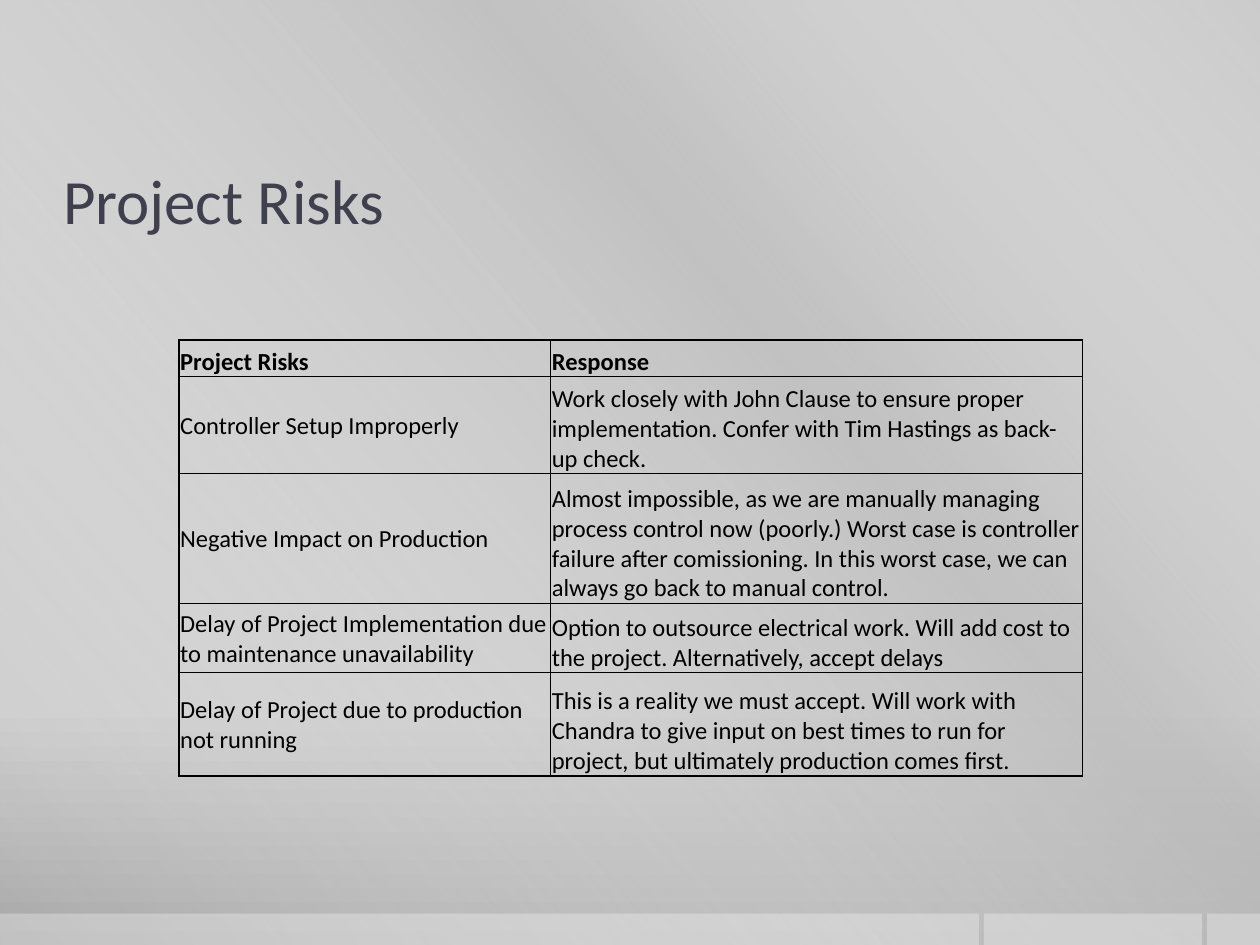
from lxml import etree
from pptx import Presentation
from pptx.dml.color import RGBColor
from pptx.enum.shapes import MSO_SHAPE
from pptx.enum.text import MSO_ANCHOR, PP_ALIGN
from pptx.oxml.ns import qn
from pptx.util import Inches, Pt

RECTANGLE = MSO_SHAPE.RECTANGLE
MIDDLE, BOTTOM = MSO_ANCHOR.MIDDLE, MSO_ANCHOR.BOTTOM
LEFT = PP_ALIGN.LEFT

FONT = "Calibri"
BLACK = RGBColor(0x00, 0x00, 0x00)
WHITE = RGBColor(0xFF, 0xFF, 0xFF)
SLATE = RGBColor(0x3F, 0x3F, 0x4D)
SILVER = RGBColor(0xBF, 0xBF, 0xBF)
PALE_GREY = RGBColor(0xCB, 0xCB, 0xCB)
LIGHT_GREY = RGBColor(0xC8, 0xC8, 0xC8)
MID_GREY = RGBColor(0xA7, 0xA7, 0xA7)

BACKGROUND_STOPS = [(0, PALE_GREY, 100), (76, LIGHT_GREY, 100), (100, MID_GREY, 100)]
SHEEN_STOPS = [(0, WHITE, 0), (34, SILVER, 61), (38, SILVER, 76), (100, WHITE, 0)]
FOOTER_SPANS = [(0, 7.77), (7.81, 1.73), (9.58, 0.42)]
COLUMN_WIDTHS = [2.95, 4.22]
ROW_HEIGHTS = [0.29, 0.77, 1.03, 0.55, 0.82]
RISKS = [
    ("Project Risks", "Response"),
    ("Controller Setup Improperly",
     "Work closely with John Clause to ensure proper implementation. "
     "Confer with Tim Hastings as back-up check."),
    ("Negative Impact on Production",
     "Almost impossible, as we are manually managing process control now (poorly.) "
     "Worst case is controller failure after comissioning. "
     "In this worst case, we can always go back to manual control."),
    ("Delay of Project Implementation due to maintenance unavailability",
     "Option to outsource electrical work. Will add cost to the project. "
     "Alternatively, accept delays"),
    ("Delay of Project due to production not running",
     "This is a reality we must accept. Will work with Chandra to give input on best "
     "times to run for project, but ultimately production comes first."),
]


def add_color(parent, color, opacity=100):
    """Append an RGB colour with an opacity in percent."""
    element = etree.SubElement(parent, qn("a:srgbClr"), val=str(color))
    if opacity < 100:
        etree.SubElement(element, qn("a:alpha"), val=str(opacity * 1000))


def set_gradient(fill, owner, stops, angle):
    """Give a fill a linear gradient with the listed stops."""
    fill.gradient()
    gradient = owner.find(".//" + qn("a:gradFill"))
    for child in list(gradient):
        gradient.remove(child)
    stop_list = etree.SubElement(gradient, qn("a:gsLst"))
    for position, color, opacity in stops:
        stop = etree.SubElement(stop_list, qn("a:gs"), pos=str(position * 1000))
        add_color(stop, color, opacity)
    etree.SubElement(gradient, qn("a:lin"), ang=str(angle * 60000), scaled="0")


def add_panel(slide, left, top, width, height):
    """Add a rectangle without line or shadow."""
    shape = slide.shapes.add_shape(RECTANGLE, left, top, width, height)
    shape.shadow.inherit = False
    shape.line.fill.background()
    return shape


def add_backdrop(slide, width, height):
    """Draw the grey background, the diagonal sheen and the footer strip."""
    set_gradient(slide.background.fill, slide.element, BACKGROUND_STOPS, 90)
    sheen = add_panel(slide, 0, 0, width, height)
    set_gradient(sheen.fill, sheen.element, SHEEN_STOPS, 140)
    strip_height = Inches(0.25)
    for left, span in FOOTER_SPANS:
        strip = add_panel(slide, Inches(left), height - strip_height, Inches(span), strip_height)
        strip.fill.solid()
        strip.fill.fore_color.rgb = WHITE
        color = strip.element.spPr.find(".//" + qn("a:srgbClr"))
        etree.SubElement(color, qn("a:alpha"), val="30000")


def format_runs(paragraph, size, color, bold=False):
    """Set the alignment and the font of every run in a paragraph."""
    paragraph.alignment = LEFT
    for run in paragraph.runs:
        run.font.name = FONT
        run.font.size = Pt(size)
        run.font.bold = bold
        run.font.color.rgb = color


def place_title(slide, left, top, width, height):
    """Place the title in its box, in front of the backdrop."""
    title = slide.shapes.title
    title.left, title.top, title.width, title.height = left, top, width, height
    text_frame = title.text_frame
    text_frame.text = "Project Risks"
    text_frame.word_wrap = True
    text_frame.vertical_anchor = MIDDLE
    text_frame.margin_left = text_frame.margin_right = 0
    text_frame.margin_top = text_frame.margin_bottom = Inches(0.05)
    format_runs(text_frame.paragraphs[0], 36, SLATE)
    title.element.getparent().append(title.element)


def set_borders(cell, widths):
    """Draw the left, right, top and bottom borders of a cell."""
    properties = cell._tc.get_or_add_tcPr()
    for side, width in zip("LRTB", widths):
        line = etree.SubElement(properties, qn("a:ln" + side), w=str(Pt(width)))
        add_color(etree.SubElement(line, qn("a:solidFill")), BLACK)


def add_risk_table(slide, left, top, width, height):
    """Add the table of risks and responses."""
    last_row, last_column = len(RISKS) - 1, len(COLUMN_WIDTHS) - 1
    table = slide.shapes.add_table(last_row + 1, last_column + 1, left, top, width, height).table
    table.first_row = table.horz_banding = False
    for column, column_width in zip(table.columns, COLUMN_WIDTHS):
        column.width = Inches(column_width)
    for row_index, texts in enumerate(RISKS):
        table.rows[row_index].height = Inches(ROW_HEIGHTS[row_index])
        is_header = row_index == 0
        for column_index, text in enumerate(texts):
            cell = table.cell(row_index, column_index)
            cell.text_frame.text = text
            format_runs(cell.text_frame.paragraphs[0], 14, BLACK, is_header)
            cell.margin_left = cell.margin_right = cell.margin_top = Inches(0.01)
            cell.margin_bottom = 0
            cell.vertical_anchor = BOTTOM if is_header or column_index else MIDDLE
            heavy = (column_index == 0, column_index == last_column,
                     row_index <= 1, row_index in (0, last_row))
            set_borders(cell, [1 if edge else 0.5 for edge in heavy])
            cell.fill.background()


def main():
    """Build and save the project risks slide."""
    presentation = Presentation()
    presentation.slide_width, presentation.slide_height = Inches(10), Inches(7.5)
    slide = presentation.slides.add_slide(presentation.slide_layouts[5])
    add_backdrop(slide, presentation.slide_width, presentation.slide_height)
    place_title(slide, Inches(0.5), Inches(1.08), Inches(9), Inches(1))
    add_risk_table(slide, Inches(1.42), Inches(2.7), Inches(7.17), Inches(3.47))
    presentation.save("out.pptx")


if __name__ == "__main__":
    main()
